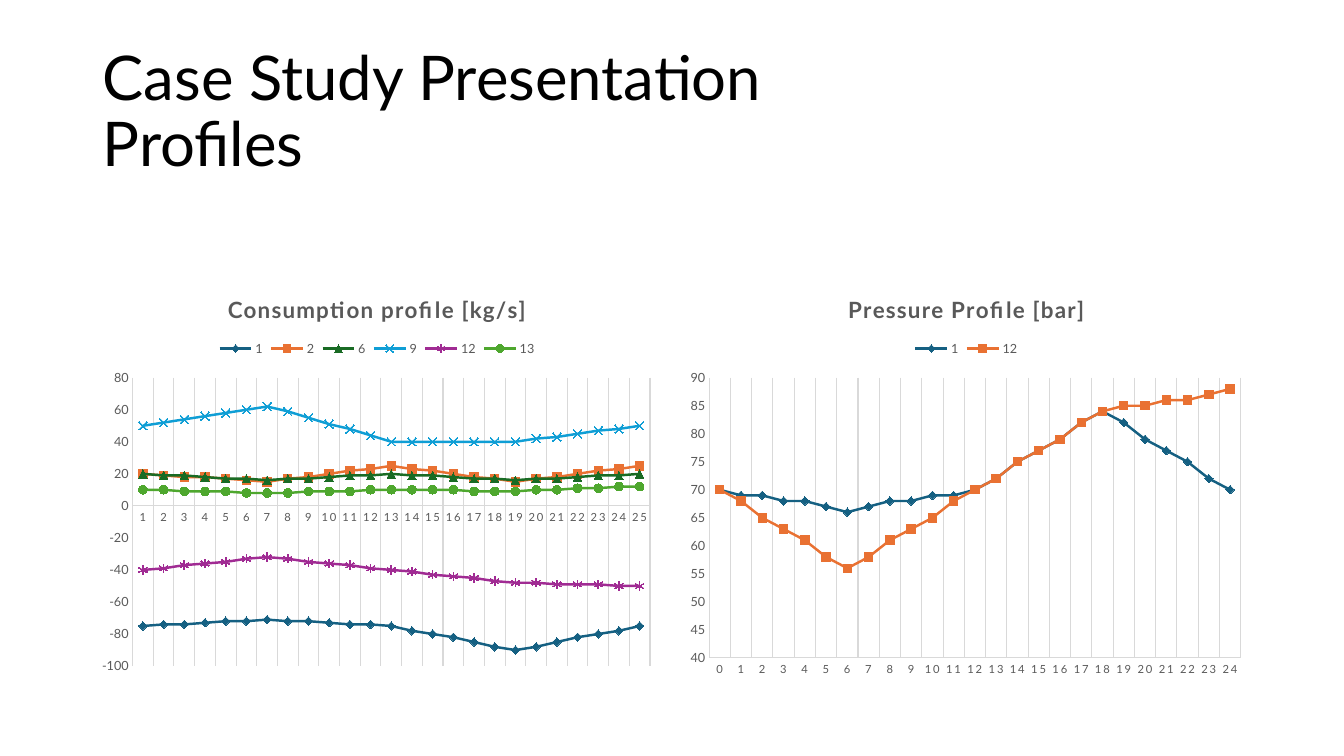
from pptx import Presentation
from pptx.chart.data import CategoryChartData
from pptx.dml.color import RGBColor
from pptx.enum.chart import XL_CHART_TYPE, XL_LEGEND_POSITION as Legend
from pptx.enum.chart import XL_MARKER_STYLE as Marker, XL_TICK_MARK as Tick
from pptx.enum.text import MSO_ANCHOR
from pptx.oxml import parse_xml
from pptx.oxml.ns import nsdecls, qn
from pptx.util import Inches, Pt

FONT = "Lato"
BLACK = RGBColor(0x00, 0x00, 0x00)
GRAY = RGBColor(0x59, 0x59, 0x59)
RULE = RGBColor(0xD9, 0xD9, 0xD9)
BLUE = RGBColor(0x15, 0x60, 0x82)
ORANGE = RGBColor(0xE9, 0x71, 0x32)
GREEN = RGBColor(0x19, 0x6B, 0x24)
SKY = RGBColor(0x0F, 0x9E, 0xD5)
PURPLE = RGBColor(0xA0, 0x2B, 0x93)
LIME = RGBColor(0x4E, 0xA7, 0x2E)

HOURS_PER_STEP = 6
OPEN_MARKERS = (Marker.X, Marker.STAR)

# Each series: name, levels at hours 0, 6, 12, 18 and 24, colour, marker
CONSUMPTION = [
    ("1", (-75, -71.25, -75, -90, -75), BLUE, Marker.DIAMOND),
    ("2", (20, 15, 25, 15, 25), ORANGE, Marker.SQUARE),
    ("6", (20, 16, 20, 16, 20), GREEN, Marker.TRIANGLE),
    ("9", (50, 62.5, 40, 40, 50), SKY, Marker.X),
    ("12", (-40, -32, -40, -48, -50), PURPLE, Marker.STAR),
    ("13", (10, 8, 10, 9, 12.5), LIME, Marker.CIRCLE),
]
PRESSURE = [
    ("1", (70, 66.5, 70, 84, 70), BLUE, Marker.DIAMOND),
    ("12", (70, 56, 70, 84, 87.5), ORANGE, Marker.SQUARE),
]


def hourly_values(levels):
    """Interpolate linearly between the six-hourly levels, in whole units."""
    values = [
        round(start + (end - start) * hour / HOURS_PER_STEP)
        for start, end in zip(levels, levels[1:])
        for hour in range(HOURS_PER_STEP)
    ]
    return values + [round(levels[-1])]


def set_attributes(target, values):
    for name, value in values.items():
        setattr(target, name, value)


def style_font(font, size, color, bold=False):
    set_attributes(font, {"name": FONT, "size": Pt(size), "bold": bold})
    font.color.rgb = color


def style_line(line, color, width):
    line.color.rgb = color
    line.width = Pt(width)


def add_title(slide, text):
    box = slide.shapes.add_textbox(Inches(0.92), Inches(0.4), Inches(11.5), Inches(1.45))
    frame = box.text_frame
    set_attributes(frame, {"word_wrap": True, "vertical_anchor": MSO_ANCHOR.MIDDLE})
    para = frame.paragraphs[0]
    para.text = text
    para.line_spacing = 0.9
    for span in para.runs:
        style_font(span.font, 44, BLACK)


def style_chart_title(chart, text):
    frame = chart.chart_title.text_frame
    frame.text = text
    chart.chart_title.include_in_layout = False
    span = frame.paragraphs[0].runs[0]
    style_font(span.font, 16, GRAY, bold=True)
    span.font._element.set("spc", "100")


def style_axes(chart, scale):
    for axis, size in ((chart.category_axis, 8), (chart.value_axis, 9)):
        set_attributes(axis, {"major_tick_mark": Tick.NONE, "minor_tick_mark": Tick.NONE})
        style_font(axis.tick_labels.font, size, GRAY)
        style_line(axis.format.line, RULE, 0.75)
    category_axis = chart.category_axis
    category_axis.has_major_gridlines = True
    style_line(category_axis.major_gridlines.format.line, RULE, 0.75)
    category_axis.tick_labels.font._element.set("spc", "120")
    chart.value_axis.has_major_gridlines = False
    set_attributes(chart.value_axis, scale)


def style_series(series, color, marker_style):
    series.smooth = False
    style_line(series.format.line, color, 1.75)
    marker = series.marker
    set_attributes(marker, {"style": marker_style, "size": 6})
    style_line(marker.format.line, color, 0.75)
    if marker_style in OPEN_MARKERS:
        marker.format.fill.background()
    else:
        marker.format.fill.solid()
        marker.format.fill.fore_color.rgb = color


def place_plot(chart, area):
    """Fix the inner plot area, given as x, y, w and h fractions of the chart."""
    sizes = "".join(f'<c:{key} val="{value}"/>' for key, value in zip("xywh", area))
    layout = parse_xml(
        f'<c:layout {nsdecls("c")}><c:manualLayout><c:layoutTarget val="inner"/>'
        f'<c:xMode val="edge"/><c:yMode val="edge"/>{sizes}</c:manualLayout></c:layout>'
    )
    plot_area = chart._chartSpace.chart.plotArea
    for old in plot_area.findall(qn("c:layout")):
        plot_area.remove(old)
    plot_area.insert(0, layout)


def add_profile_chart(slide, title, profiles, first_hour, left, width, scale, area):
    data = CategoryChartData(number_format="0")
    data.categories = [str(first_hour + hour) for hour in range(25)]
    for name, levels, _, _ in profiles:
        data.add_series(name, hourly_values(levels))
    chart = slide.shapes.add_chart(
        XL_CHART_TYPE.LINE_MARKERS, Inches(left), Inches(2.74), Inches(width), Inches(4.03), data
    ).chart
    style_font(chart.font, 10, BLACK)
    style_chart_title(chart, title)
    chart.has_legend = True
    set_attributes(chart.legend, {"position": Legend.TOP, "include_in_layout": False})
    style_font(chart.legend.font, 9, GRAY)
    style_axes(chart, scale)
    chart.plots[0].vary_by_categories = False
    for series, (_, _, color, marker_style) in zip(chart.plots[0].series, profiles):
        style_series(series, color, marker_style)
    place_plot(chart, area)


def main():
    deck = Presentation()
    set_attributes(deck, {"slide_width": Inches(13.33), "slide_height": Inches(7.5)})
    slide = deck.slides.add_slide(deck.slide_layouts[6])
    add_title(slide, "Case Study Presentation\vProfiles")
    add_profile_chart(
        slide, "Consumption profile [kg/s]", CONSUMPTION, 1, 0.92, 5.64,
        {"minimum_scale": -100, "maximum_scale": 80, "major_unit": 20},
        (0.07, 0.25, 0.91, 0.71),
    )
    add_profile_chart(
        slide, "Pressure Profile [bar]", PRESSURE, 0, 6.75, 5.67,
        {"minimum_scale": 40, "maximum_scale": 90, "major_unit": 5},
        (0.05, 0.25, 0.93, 0.69),
    )
    deck.save("out.pptx")


if __name__ == "__main__":
    main()
